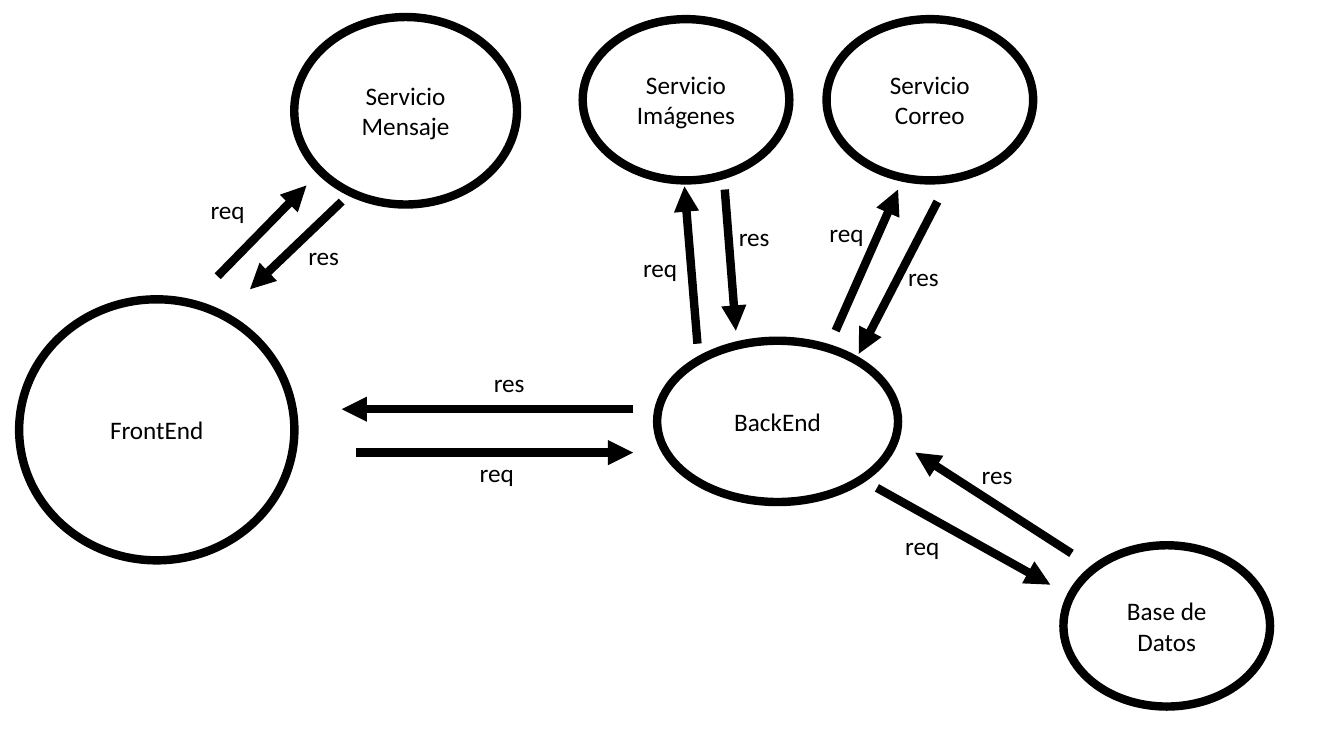
from pptx import Presentation
from pptx import util as u
from pptx.dml.color import RGBColor
from pptx.enum import shapes, text
from lxml import etree
from pptx.oxml import ns

BLACK = RGBColor(0, 0, 0)
WHITE = RGBColor(255, 255, 255)
Pt = u.Pt

deck = Presentation()
deck.slide_width, deck.slide_height = Pt(960), Pt(540)
slide = deck.slides.add_slide(deck.slide_layouts[6])
slide.background.fill.solid()
slide.background.fill.fore_color.rgb = WHITE


def write(words, shape, align, anchor, wrap):
    frame = shape.text_frame
    frame.word_wrap = wrap
    frame.vertical_anchor = anchor
    para = frame.paragraphs[0]
    para.alignment = align
    run = para.add_run()
    run.text = words
    run.font.name = "Calibri"
    run.font.size = Pt(18)
    run.font.color.rgb = BLACK


nodes = [
    ("FrontEnd", 13.7, 213.8, 196.6, 186.5),
    ("BackEnd", 469.4, 243.4, 172.1, 115.2),
    ("Servicio Correo", 590.4, 13.7, 147.6, 115.2),
    ("Servicio Mensaje", 210.2, 12.2, 159.1, 133.9),
    ("Servicio Imágenes", 416.2, 13.7, 147.6, 115.2),
    ("Base de Datos", 759.6, 389.5, 147.6, 115.2),
]
for name, *box in nodes:
    node = slide.shapes.add_shape(shapes.MSO_SHAPE.OVAL, *map(Pt, box))
    node.shadow.inherit = False
    node.fill.background()
    node.line.color.rgb = BLACK
    node.line.width = Pt(6)
    write(name, node, align=text.PP_ALIGN.CENTER,
          anchor=text.MSO_ANCHOR.MIDDLE, wrap=True)

calls = [
    ("req", (596.9, 236.2, 641.5, 135.4), (585.4, 151.9)),
    ("res", (669.6, 144, 613.4, 252.7), (641.5, 182.9)),
    ("req", (498.2, 245.5, 488.9, 133.2), (452.2, 176.4)),
    ("res", (517.7, 135.4, 525.6, 236.2), (520.6, 154.8)),
    ("req", (155.5, 197.3, 218.9, 132.5), (143.3, 135.4)),
    ("res", (244.1, 144, 178.6, 206.6), (213.1, 167.8)),
    ("req", (254.2, 323.3, 452.2, 323.3), (335.5, 323.3)),
    ("res", (452.2, 292.3, 244.1, 292.3), (345.6, 258.5)),
    ("req", (626.4, 348.5, 750.2, 417.6), (639.4, 375.1)),
    ("res", (765.4, 395.3, 653.8, 323.3), (694.1, 324.7)),
]
widths = {"req": 39.6, "res": 36.7}
for word, ends, spot in calls:
    arrow = slide.shapes.add_connector(
        shapes.MSO_CONNECTOR.STRAIGHT, *map(Pt, ends))
    arrow.line.color.rgb = BLACK
    arrow.line.width = Pt(6)
    line = arrow.line._get_or_add_ln()
    etree.SubElement(line, ns.qn("a:tailEnd"), type="triangle")
    etree.SubElement(arrow._element.spPr, ns.qn("a:effectLst"))
    label = slide.shapes.add_textbox(*map(Pt, (*spot, widths[word], 29)))
    label.text_frame.auto_size = text.MSO_AUTO_SIZE.SHAPE_TO_FIT_TEXT
    write(word, label, align=text.PP_ALIGN.LEFT,
          anchor=text.MSO_ANCHOR.TOP, wrap=False)

deck.save("out.pptx")
